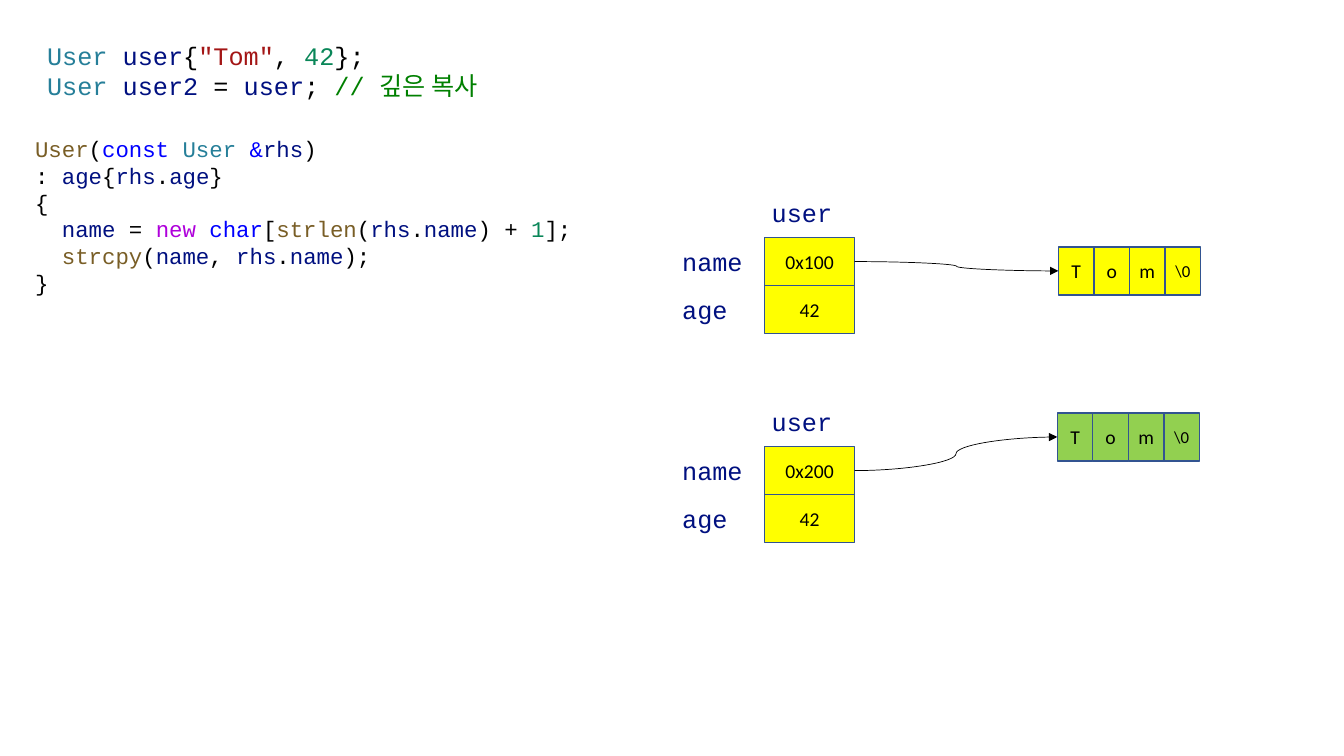
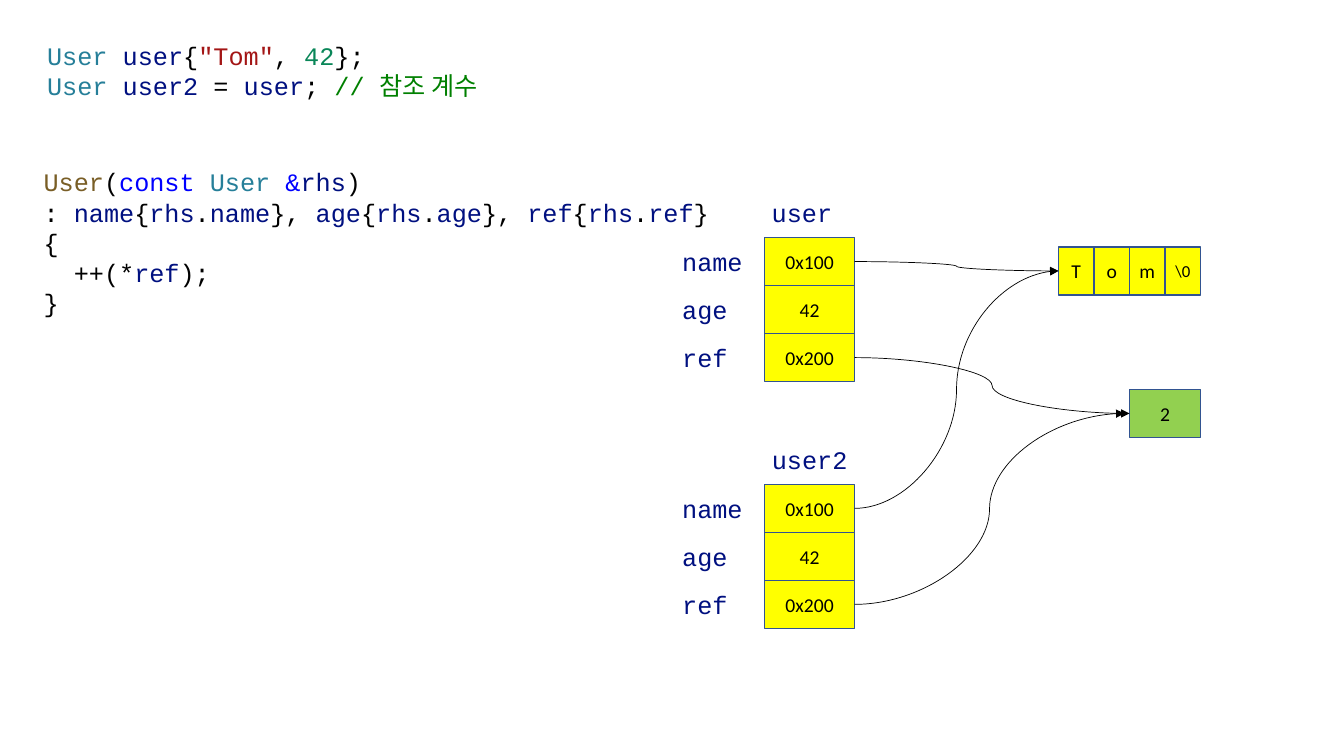
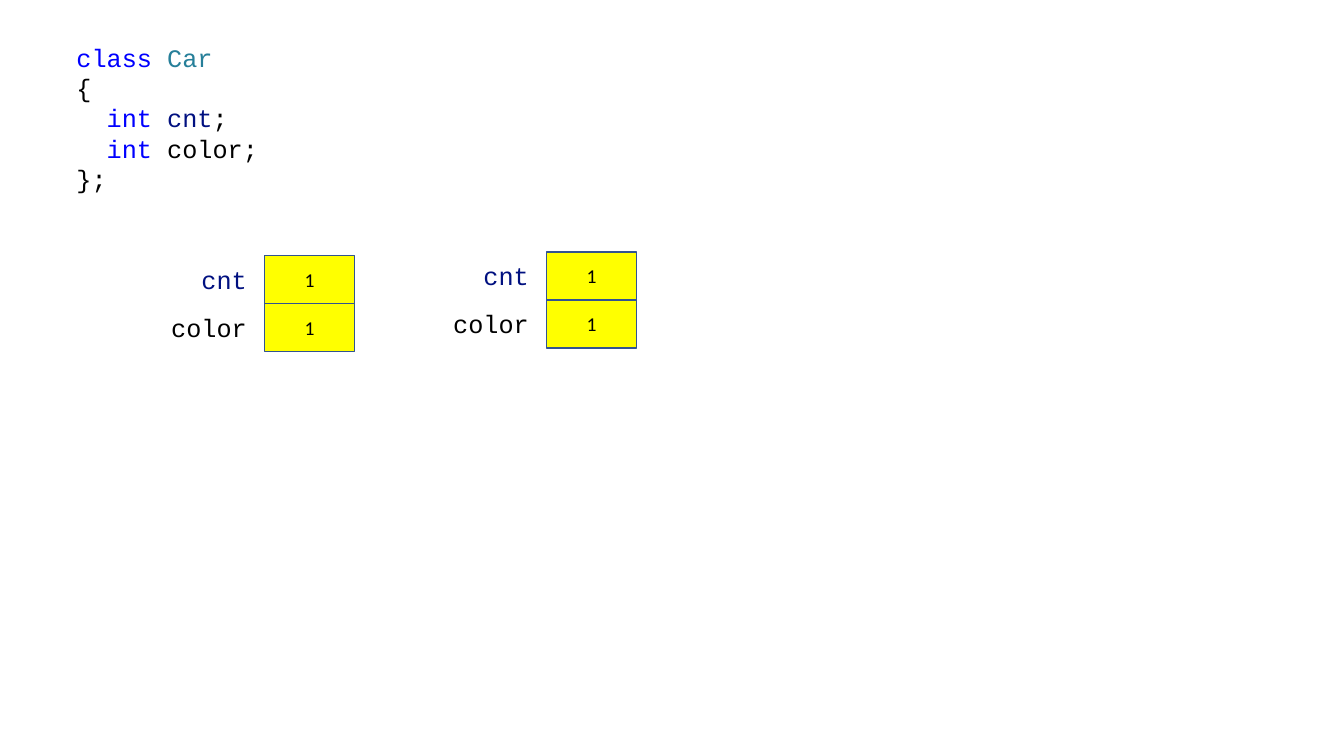
from dataclasses import dataclass
from typing import NamedTuple

from lxml import etree
from pptx import Presentation
from pptx.dml.color import RGBColor
from pptx.enum.shapes import MSO_CONNECTOR, MSO_SHAPE
from pptx.enum.text import MSO_ANCHOR, MSO_AUTO_SIZE, PP_ALIGN
from pptx.oxml.ns import qn
from pptx.util import Pt

RECT, CURVE = MSO_SHAPE.RECTANGLE, MSO_CONNECTOR.CURVE
MIDDLE, CENTER = MSO_ANCHOR.MIDDLE, PP_ALIGN.CENTER
GROW = MSO_AUTO_SIZE.SHAPE_TO_FIT_TEXT

# Colours and fonts
INK, TYPE, VAR, TEXT = "000000", "267F99", "001080", "A31515"
NUM, NOTE, KEY, CALL, NEW = "098658", "008000", "0000FF", "795E26", "AF00DB"
YELLOW, GREEN, EDGE = "FFFF00", "92D050", "325491"
MONO, SANS = "Courier New", "Calibri"

# Shared sizes, in points
FIELD_W, CELL_W, CELL_H = 64.3, 25.4, 34.3
LABEL_H, CHAR_W, INSET = 28.8, 10.8, 7.2
STACK_X, STACK_Y, ARRAY_X, ARRAY_Y = 546.2, 169.7, 756, 176.4


class Tok(NamedTuple):
    text: str
    color: str = INK


class Row(NamedTuple):
    label: str
    value: str
    color: str = VAR


@dataclass
class Code:
    x: float
    y: float
    w: float
    h: float
    lines: list[list[Tok]]
    size: float = 18


@dataclass
class Stack:
    x: float
    y: float
    rows: list[Row]
    title: str = ""
    right: bool = False


def rgb(color: str) -> RGBColor:
    return RGBColor.from_string(color)


def style(run, font: str, size: float, color: str) -> None:
    run.font.name, run.font.size = font, Pt(size)
    run.font.color.rgb = rgb(color)


def add_text(slide, x: float, y: float, w: float, h: float, wrap: bool):
    box = slide.shapes.add_textbox(Pt(x), Pt(y), Pt(w), Pt(h))
    frame = box.text_frame
    frame.word_wrap, frame.auto_size = wrap, GROW
    return frame


def add_code(slide, code: Code) -> None:
    frame = add_text(slide, code.x, code.y, code.w, code.h, True)
    for i, line in enumerate(code.lines):
        para = frame.add_paragraph() if i else frame.paragraphs[0]
        for tok in line:
            run = para.add_run()
            run.text = tok.text
            style(run, MONO, code.size, tok.color)


def width(text: str) -> float:
    return len(text) * CHAR_W + 2 * INSET


def add_label(slide, x: float, y: float, text: str, color: str = VAR) -> None:
    frame = add_text(slide, x, y, width(text), LABEL_H, False)
    frame.text = text
    style(frame.paragraphs[0].runs[0], MONO, 18, color)


def add_cell(slide, x: float, y: float, w: float, text: str,
             fill: str = YELLOW, size: float = 14):
    cell = slide.shapes.add_shape(RECT, Pt(x), Pt(y), Pt(w), Pt(CELL_H))
    cell.shadow.inherit = False
    cell.fill.solid()
    cell.fill.fore_color.rgb = rgb(fill)
    cell.line.color.rgb, cell.line.width = rgb(EDGE), Pt(1)
    frame = cell.text_frame
    frame.margin_left = frame.margin_right = 0
    frame.vertical_anchor = MIDDLE
    frame.text = text
    para = frame.paragraphs[0]
    para.alignment = CENTER
    style(para.runs[0], SANS, size, INK)
    return cell


def add_stack(slide, stack: Stack) -> list:
    """Draw an object's fields one below the other, and return the cells."""
    cells = []
    for i, row in enumerate(stack.rows):
        y = stack.y + i * CELL_H
        cells.append(add_cell(slide, stack.x, y, FIELD_W, row.value))
        shift = width(row.label) + 5.4 if stack.right else 66
        add_label(slide, stack.x - shift, y + 2.5, row.label, row.color)
    if stack.title:
        add_label(slide, stack.x - 2, stack.y - 32, stack.title)
    return cells


def add_array(slide, x: float, y: float, fill: str = YELLOW):
    """Draw the characters side by side, and return the first cell."""
    cells = [add_cell(slide, x + i * CELL_W, y, CELL_W, text, fill,
                      12 if len(text) > 1 else 14)
             for i, text in enumerate(["T", "o", "m", "\\0"])]
    return cells[0]


def add_link(slide, start, end, gap: float = 0) -> None:
    """Draw an arrow from the right of one cell to the left of another."""
    link = slide.shapes.add_connector(
        CURVE, start.left + start.width, start.top + start.height // 2,
        end.left - Pt(gap), end.top + end.height // 2)
    link.begin_connect(start, 3)
    if not gap:
        link.end_connect(end, 1)
    link.line.color.rgb, link.line.width = rgb(INK), Pt(0.5)
    props = link._element.spPr
    etree.SubElement(props.find(qn("a:ln")), qn("a:tailEnd"), type="triangle")
    etree.SubElement(props, qn("a:effectLst"))


# Code lines used on more than one slide
def part(name: str) -> list[Tok]:
    return [Tok("rhs", VAR), Tok("."), Tok(name, VAR)]


def init(name: str) -> list[Tok]:
    return [Tok(name, VAR), Tok("{"), *part(name)]


def usage(note: str) -> Code:
    return Code(26.6, 25.2, 365, 51, [
        [Tok("User ", TYPE), Tok("user", VAR), Tok("{"), Tok('"Tom"', TEXT),
         Tok(", "), Tok("42", NUM), Tok("};")],
        [Tok("User ", TYPE), Tok("user2", VAR), Tok(" = "), Tok("user", VAR),
         Tok(";"), Tok(f" // {note}", NOTE)]])


HEAD = [Tok("User", CALL), Tok("("), Tok("const ", KEY), Tok("User ", TYPE),
        Tok("&", KEY), Tok("rhs", VAR), Tok(")")]
OPEN, CLOSE = [Tok("{")], [Tok("}")]


def deep_copy(slide) -> None:
    add_code(slide, usage("깊은 복사"))
    add_code(slide, Code(18, 92.9, 430, 128, [
        HEAD,
        [Tok(": "), *init("age"), Tok("}")],
        OPEN,
        [Tok("  name", VAR), Tok(" = "), Tok("new ", NEW), Tok("char", KEY),
         Tok("["), Tok("strlen", CALL), Tok("("), *part("name"),
         Tok(") + "), Tok("1", NUM), Tok("];")],
        [Tok("  strcpy", CALL), Tok("("), Tok("name", VAR), Tok(", "),
         *part("name"), Tok(");")],
        CLOSE], 16))
    for y, ref, x, top, fill in [(STACK_Y, "0x100", ARRAY_X, ARRAY_Y, YELLOW),
                                 (319, "0x200", 755.2, 295, GREEN)]:
        rows = [Row("name", ref), Row("age", "42")]
        cells = add_stack(slide, Stack(STACK_X, y, rows, "user"))
        add_link(slide, cells[0], add_array(slide, x, top, fill))


def ref_count(slide) -> None:
    add_code(slide, usage("참조 계수"))
    add_code(slide, Code(24, 115.5, 497, 116.6, [
        HEAD,
        [Tok(": "), *init("name"), Tok("}, "), *init("age"), Tok("}, "),
         *init("ref"), Tok("}")],
        OPEN,
        [Tok("  ++(*"), Tok("ref", VAR), Tok(");")],
        CLOSE]))
    chars = add_array(slide, ARRAY_X, ARRAY_Y)
    count = add_cell(slide, ARRAY_X + 2 * CELL_W, 278.2, 2 * CELL_W, "2", GREEN)
    rows = [Row("name", "0x100"), Row("age", "42"), Row("ref", "0x200")]
    for y, title, gap in [(STACK_Y, "user", 0), (346, "user2", 3.6)]:
        cells = add_stack(slide, Stack(STACK_X, y, rows, title))
        add_link(slide, cells[0], chars)
        add_link(slide, cells[2], count, gap)


def car_class(slide) -> None:
    add_code(slide, Code(47.5, 26.6, 480, 116.6, [
        [Tok("class ", KEY), Tok("Car", TYPE)],
        OPEN,
        [Tok("  int ", KEY), Tok("cnt", VAR), Tok(";")],
        [Tok("  "), Tok("int", KEY), Tok(" color;")],
        [Tok("};")]]))
    rows = [Row("cnt", "1"), Row("color", "1", INK)]
    for x, y in [(189, 182.5), (390.4, 180)]:
        add_stack(slide, Stack(x, y, rows, right=True))


def main() -> None:
    deck = Presentation()
    deck.slide_width, deck.slide_height = Pt(960), Pt(540)
    blank = deck.slide_layouts[6]
    for draw in (deep_copy, ref_count, car_class):
        draw(deck.slides.add_slide(blank))
    deck.save("out.pptx")


if __name__ == "__main__":
    main()
